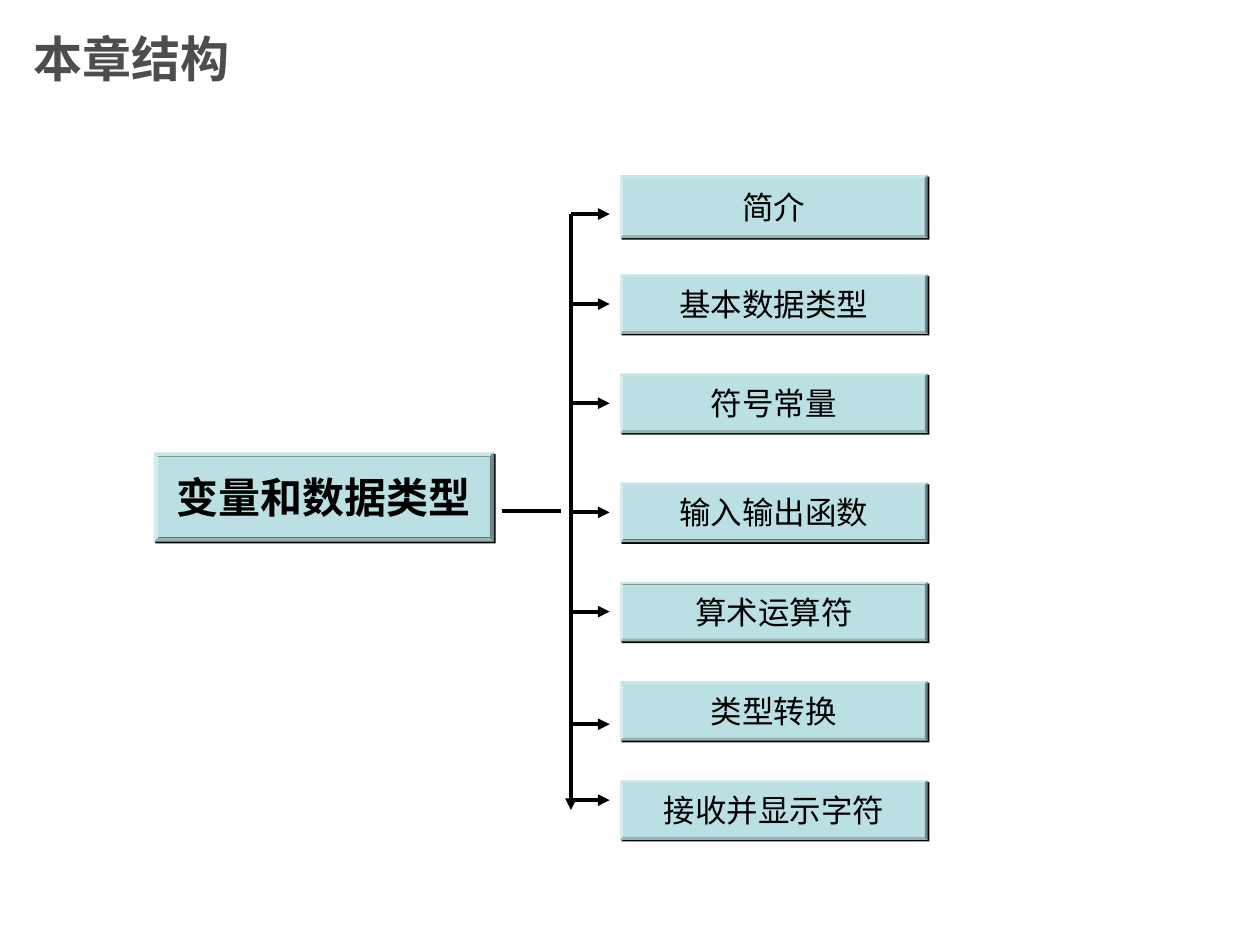
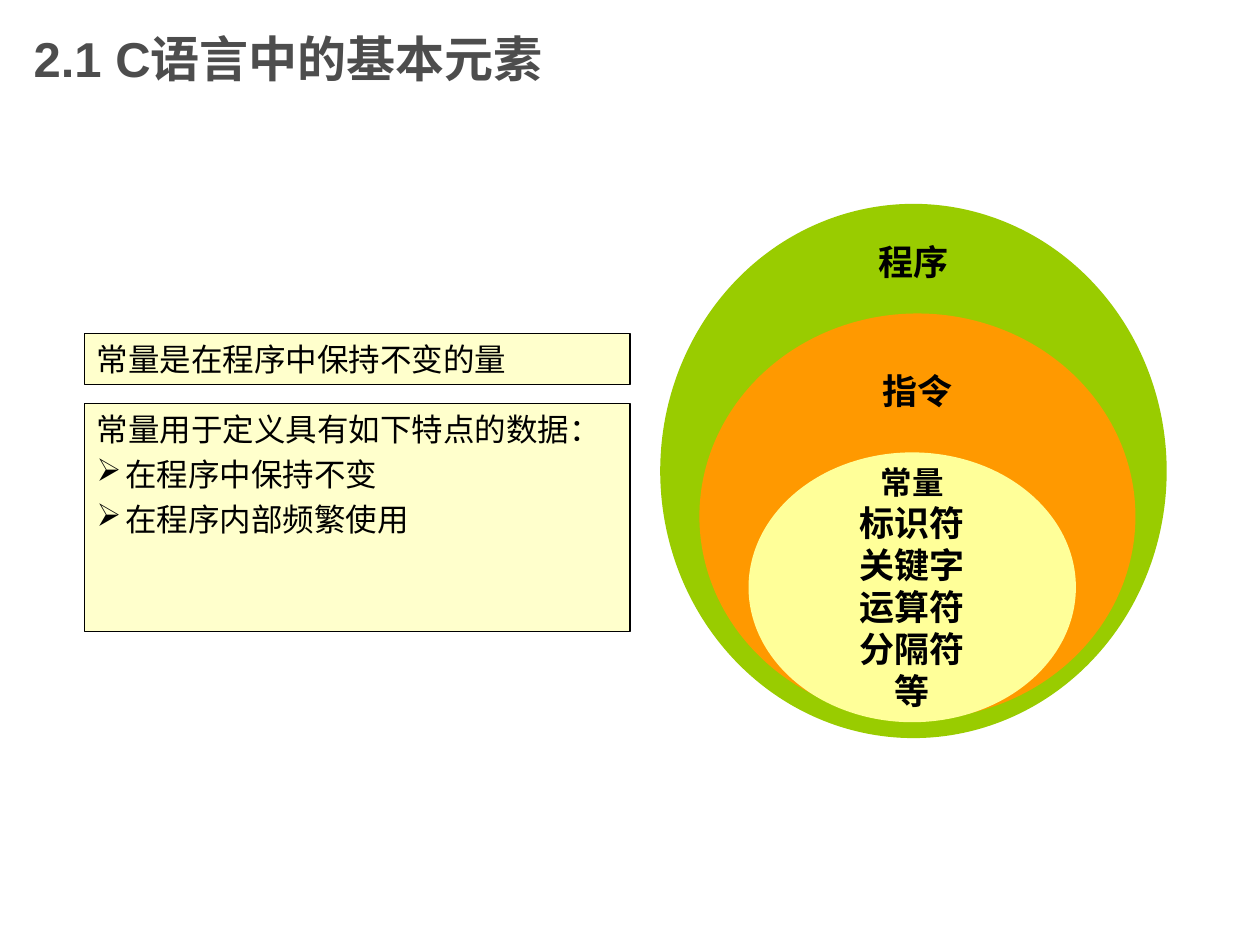
from lxml import etree
from pptx import Presentation
from pptx.dml.color import RGBColor
from pptx.enum.shapes import MSO_CONNECTOR as LINE, MSO_SHAPE as SHAPE
from pptx.enum.text import MSO_ANCHOR as ANCHOR, PP_ALIGN as ALIGN
from pptx.oxml.ns import qn
from pptx.util import Cm, Pt

COLORS = dict(ink="000000", title="4D4D4D", box="BBE0E3", program="99CC00",
              command="FF9900", element="FFFF99", note="FFFFCC")
SANS, CJK, NARROW = "Arial", "Noto Sans CJK SC", "Arial Narrow"

TITLES = ["本章结构", "2.1 C语言中的基本元素"]
CHAPTER = "变量和数据类型"
TOPIC_GROUPS = [["简介", "基本数据类型", "符号常量"],
                ["输入输出函数", "算术运算符", "类型转换", "接收并显示字符"]]
ARROW_SHIFTS = [0.15, 0, 0, 0, 0, 0.27, -0.2]
RINGS = [("程序", "program", (13.31, 4.11, 10.21, 10.77), 1.17),
         ("指令", "command", (14.1, 6.32, 8.79, 8.18), 1.56)]
CORE = (15.09, 9.12, 6.6, 5.44)
ELEMENTS = ["常量", "标识符", "关键字", "运算符", "分隔符", "等"]
NOTES = [((1.7, 6.73, 11, 1.02), "常量是在程序中保持不变的量", []),
         ((1.7, 8.13, 11, 4.6), "常量用于定义具有如下特点的数据:".replace(":", "："),
          ["在程序中保持不变", "在程序内部频繁使用"])]

TITLE = dict(size=28, bold=True, color="title")
CHAPTER_TEXT = dict(size=24, bold=True, font=CJK)
TOPIC_TEXT = dict(size=18, font=CJK)
RING_TEXT = dict(size=20, bold=True)
FIRST_ELEMENT = dict(size=18, bold=True, font=NARROW)
NOTE_TEXT = dict(size=18)


def rgb(name):
    return RGBColor.from_string(COLORS[name])


def sub(parent, tag, **attrs):
    el = etree.SubElement(parent, qn(tag))
    for key, value in attrs.items():
        el.set(key, str(value))
    return el


def write(sp, lines, align=ALIGN.CENTER, anchor=ANCHOR.MIDDLE, wrap=False):
    tf = sp.text_frame
    frame = dict(word_wrap=wrap, vertical_anchor=anchor,
                 margin_left=Cm(0.25), margin_right=Cm(0.25),
                 margin_top=Cm(0.13), margin_bottom=Cm(0.13))
    for key, value in frame.items():
        setattr(tf, key, value)
    for i, (text, style) in enumerate(lines):
        p = tf.paragraphs[0] if i == 0 else tf.add_paragraph()
        p.alignment = align
        r = p.add_run()
        r.text = text
        font = dict(name=style.get("font", SANS), size=Pt(style["size"]),
                    bold=style.get("bold", False))
        for key, value in font.items():
            setattr(r.font, key, value)
        r.font.color.rgb = rgb(style.get("color", "ink"))
        sub(r.font._element, "a:ea", typeface=CJK)
    return tf


def add_shape(slide, kind, place, fill, outline=False):
    sp = slide.shapes.add_shape(kind, *map(Cm, place))
    sp.shadow.inherit = False
    sp.fill.solid()
    sp.fill.fore_color.rgb = rgb(fill)
    if outline:
        sp.line.color.rgb = rgb("ink")
        sp.line.width = Pt(0.74)
    else:
        sp.line.fill.background()
    return sp


def add_text(slide, place, lines, **layout):
    return write(slide.shapes.add_textbox(*map(Cm, place)), lines, **layout)


def add_bevel(slide, place, text, style):
    sp = add_shape(slide, SHAPE.BEVEL, place, "box")
    sp.adjustments[0] = 0.047
    effects = sp._element.spPr.find(qn("a:effectLst"))
    shadow = sub(effects, "a:outerShdw", dist=Pt(1.4), dir=45 * 60000,
                 algn="tl", rotWithShape=0)
    sub(shadow, "a:srgbClr", val=COLORS["ink"])
    write(sp, [(text, style)])


def add_line(slide, x1, y1, x2, y2, arrow=True):
    ln = slide.shapes.add_connector(LINE.STRAIGHT, *map(Cm, (x1, y1, x2, y2)))
    ln.line.color.rgb = rgb("ink")
    ln.line.width = Pt(2.24)
    if arrow:
        sub(ln.line._get_or_add_ln(), "a:tailEnd", type="triangle")
    sub(ln._element.spPr, "a:effectLst")


def add_bullet(p):
    p.line_spacing = 1.2
    pPr = p._p.get_or_add_pPr()
    pPr.set("marL", str(Cm(0.58)))
    pPr.set("indent", str(Cm(-0.58)))
    sub(sub(pPr, "a:buClr"), "a:srgbClr", val=COLORS["ink"])
    sub(pPr, "a:buChar", char="➢")


def add_slide(prs, title):
    slide = prs.slides.add_slide(prs.slide_layouts[6])
    add_text(slide, (0.43, 0, 19.05, 2.34), [(title, TITLE)],
             align=ALIGN.LEFT, wrap=True)
    return slide


def build_structure(slide):
    left, width, height, pitch, group_gap = 12.5, 6.2, 1.2, 2, 0.2
    trunk_x, trunk_top, trunk_end, arrow_end = 11.51, 4.32, 16.33, 12.29
    add_bevel(slide, (3.1, 9.12, 6.86, 1.8), CHAPTER, CHAPTER_TEXT)
    add_line(slide, 10.11, 10.31, 11.3, 10.31, arrow=False)
    add_line(slide, trunk_x, trunk_top, trunk_x, trunk_end)
    topics = [(g, t) for g, group in enumerate(TOPIC_GROUPS) for t in group]
    for i, ((g, text), shift) in enumerate(zip(topics, ARROW_SHIFTS)):
        top = 3.53 + i * pitch + g * group_gap
        h = height if i else 1.27
        add_bevel(slide, (left, top, width, h), text, TOPIC_TEXT)
        y = top + h / 2 + shift
        add_line(slide, trunk_x, y, arrow_end, y)


def build_elements(slide):
    label_height = 1.2
    for text, fill, place, drop in RINGS:
        x, y, w, h = place
        add_shape(slide, SHAPE.OVAL, place, fill)
        add_text(slide, (x, y + drop - label_height / 2, w, label_height),
                 [(text, RING_TEXT)], wrap=True)
    core = add_shape(slide, SHAPE.OVAL, CORE, "element")
    write(core, [(t, RING_TEXT if i else FIRST_ELEMENT)
                 for i, t in enumerate(ELEMENTS)])
    for place, lead, points in NOTES:
        sp = add_shape(slide, SHAPE.RECTANGLE, place, "note", outline=True)
        tf = write(sp, [(t, NOTE_TEXT) for t in [lead] + points],
                   align=ALIGN.JUSTIFY, anchor=ANCHOR.TOP, wrap=True)
        for p in tf.paragraphs[1:]:
            add_bullet(p)


prs = Presentation()
prs.slide_width, prs.slide_height = Cm(25.4), Cm(19.05)
for title, build in zip(TITLES, (build_structure, build_elements)):
    build(add_slide(prs, title))
prs.save("out.pptx")
